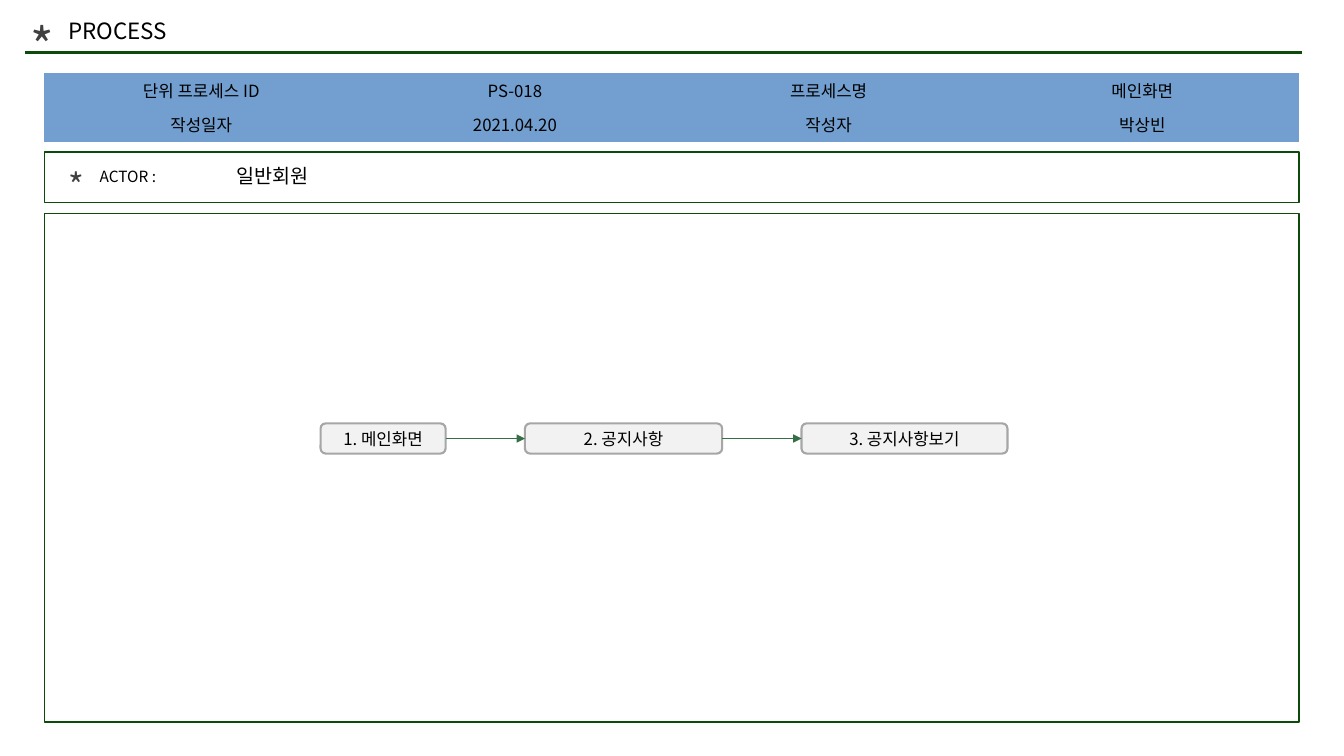
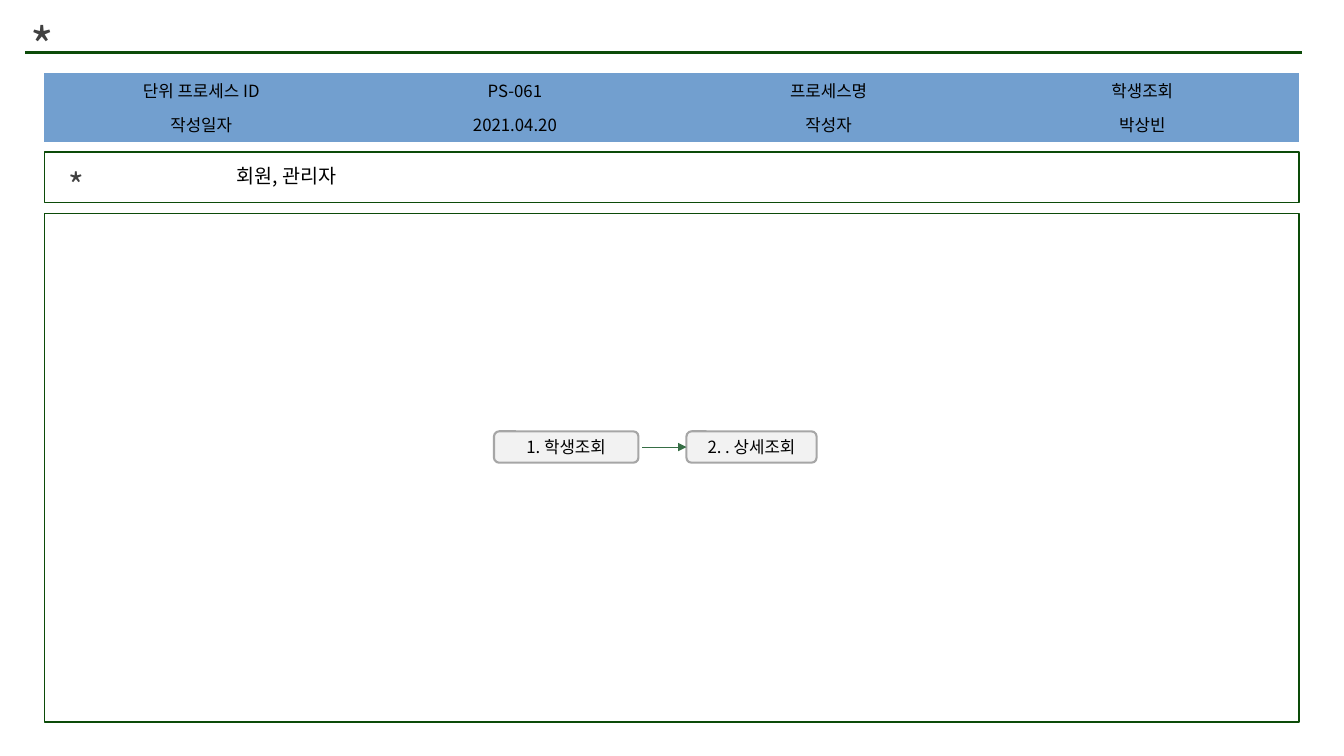
from lxml.etree import SubElement
from pptx import Presentation
from pptx.dml.color import RGBColor
from pptx.enum.shapes import MSO_CONNECTOR, MSO_SHAPE
from pptx.enum.text import MSO_ANCHOR, PP_ALIGN
from pptx.oxml.ns import qn
from pptx.util import Cm, Pt

COLORS = {
    "rule": "0C4B09",
    "band": "729FCF",
    "step": "F2F2F2",
    "edge": "A6A6A6",
    "arrow": "366E45",
    "star": "404040",
    "text": "000000",
}
FONT = "Noto Sans CJK KR"
NO_GRID = "{2D5ABB26-0587-4C30-8999-92F81FD0307C}"
LEFT, WIDTH = 1.12, 31.62
ROW_HEIGHT = 0.87
CORNER = 0.13

SLIDES = [
    {
        "title": "PROCESS",
        "info": [
            ["단위 프로세스 ID", "PS-018", "프로세스명", "메인화면"],
            ["작성일자", "2021.04.20", "작성자", "박상빈"],
        ],
        "label": "ACTOR :",
        "actor": "일반회원",
        "flow": {
            "left": 8.08, "top": 10.67, "height": 0.76, "gap": 2, "lead": 0,
            "steps": [("1. 메인화면", 3.15), ("2. 공지사항", 4.97), ("3. 공지사항보기", 5.19)],
        },
    },
    {
        "title": "",
        "info": [
            ["단위 프로세스 ID", "PS-061", "프로세스명", "학생조회"],
            ["작성일자", "2021.04.20", "작성자", "박상빈"],
        ],
        "label": "",
        "actor": "회원, 관리자",
        "flow": {
            "left": 12.45, "top": 10.87, "height": 0.79, "gap": 1.21, "lead": 0.1,
            "steps": [("1. 학생조회", 3.64), ("2. . 상세조회", 3.28)],
        },
    },
]


def rgb(name):
    return RGBColor.from_string(COLORS[name])


class Deck:
    """Holds the shared style and the slide being drawn."""

    def __init__(self):
        self.prs = Presentation()
        self.prs.slide_width, self.prs.slide_height = Cm(33.87), Cm(19.05)
        self.s = None

    def new_slide(self):
        self.s = self.prs.slides.add_slide(self.prs.slide_layouts[6])

    def put_run(self, tf, text, size, color="text", align=PP_ALIGN.LEFT):
        p = tf.paragraphs[0]
        p.alignment = align
        r = p.add_run()
        r.text = text
        for name, value in {"name": FONT, "size": Pt(size)}.items():
            setattr(r.font, name, value)
        r.font.color.rgb = rgb(color)
        SubElement(r.font._element, qn("a:ea"), typeface=FONT)

    def text(self, text, x, y, w, h, size, color="text"):
        if text:
            tf = self.s.shapes.add_textbox(Cm(x), Cm(y), Cm(w), Cm(h)).text_frame
            tf.word_wrap = True
            self.put_run(tf, text, size, color)

    def outline(self, line, color, width):
        line.color.rgb = rgb(color)
        line.width = Pt(width)

    def line(self, x1, x2, y, color, width):
        c = self.s.shapes.add_connector(MSO_CONNECTOR.STRAIGHT, Cm(x1), Cm(y), Cm(x2), Cm(y))
        self.outline(c.line, color, width)
        SubElement(c._element.spPr, qn("a:effectLst"))
        return c

    def frame(self, y, h):
        sp = self.s.shapes.add_shape(MSO_SHAPE.RECTANGLE, Cm(LEFT), Cm(y), Cm(WIDTH), Cm(h))
        sp.shadow.inherit = False
        sp.fill.background()
        self.outline(sp.line, "rule", 1)

    def table(self, rows, y):
        size = len(rows), len(rows[0])
        shape = self.s.shapes.add_table(*size, Cm(LEFT), Cm(y), Cm(WIDTH), Cm(ROW_HEIGHT * len(rows)))
        table = shape.table
        for name in ("first_row", "horz_banding"):
            setattr(table, name, False)
        table._tbl.tblPr.find(qn("a:tableStyleId")).text = NO_GRID
        for cell, text in zip(table.iter_cells(), sum(rows, [])):
            cell.fill.solid()
            cell.fill.fore_color.rgb = rgb("band")
            self.put_run(cell.text_frame, text, 12, align=PP_ALIGN.CENTER)

    def step(self, text, x, y, w, h):
        sp = self.s.shapes.add_shape(MSO_SHAPE.ROUNDED_RECTANGLE, Cm(x), Cm(y), Cm(w), Cm(h))
        sp.shadow.inherit = False
        sp.adjustments[0] = CORNER / h
        sp.fill.solid()
        sp.fill.fore_color.rgb = rgb("step")
        self.outline(sp.line, "edge", 1.5)
        tf = sp.text_frame
        tf.vertical_anchor = MSO_ANCHOR.MIDDLE
        for side in ("left", "top", "right", "bottom"):
            setattr(tf, f"margin_{side}", Cm(0.1))
        self.put_run(tf, text, 12, align=PP_ALIGN.CENTER)
        return sp

    def arrow(self, x1, x2, y, start, end):
        c = self.line(x1, x2, y, "arrow", 0.5)
        SubElement(c.line._get_or_add_ln(), qn("a:tailEnd"), type="triangle")
        if start:
            c.begin_connect(start, 3)
        c.end_connect(end, 1)

    def flow(self, left, top, height, gap, lead, steps):
        x, previous = left, None
        for text, width in steps:
            sp = self.step(text, x, top, width, height)
            if previous:
                start = None if lead else previous
                self.arrow(x - gap + lead, x, top + height / 2, start, sp)
            x, previous = x + width + gap, sp

    def process(self, title, info, label, actor, flow):
        self.new_slide()
        self.line(0.64, 32.82, 1.32, "rule", 2.25)
        self.text("*", 0.51, 0.25, 1.32, 1.98, 36, "star")
        self.text(title, 1.47, 0.3, 10.97, 1.02, 16)
        self.table(info, 1.83)
        self.frame(3.83, 1.28)
        self.text("*", 1.47, 4.04, 1.32, 1.4, 24, "star")
        self.text(label, 2.26, 4.09, 3.38, 0.79, 11)
        self.text(actor, 5.71, 4.01, 10.97, 0.97, 14)
        self.frame(5.38, 12.82)
        self.flow(**flow)


def main():
    deck = Deck()
    for content in SLIDES:
        deck.process(**content)
    deck.prs.save("out.pptx")


if __name__ == "__main__":
    main()
